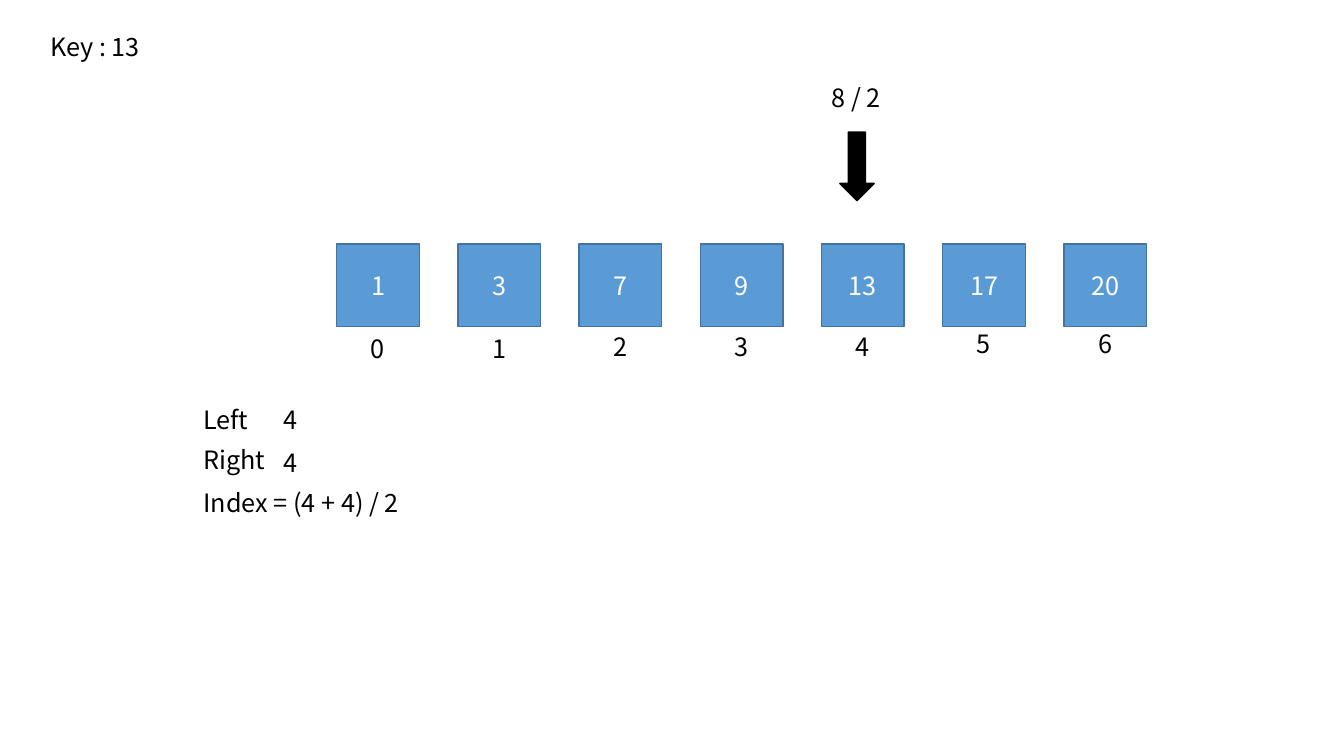
from pptx import Presentation
from pptx.dml.color import RGBColor
from pptx.enum import shapes, text
from pptx.util import Inches, Pt

FONT = "Noto Sans CJK KR"
BLACK = RGBColor(0x00, 0x00, 0x00)
WHITE = RGBColor(0xFF, 0xFF, 0xFF)
CELL_BLUE = RGBColor(0x5B, 0x9B, 0xD5)
CELL_BORDER = RGBColor(0x43, 0x73, 0x9E)

presentation = Presentation()
presentation.slide_width = Inches(13.33)
presentation.slide_height = Inches(7.5)
slide = presentation.slides.add_slide(presentation.slide_layouts[6])


def write(shape, wording, color):
    shape.text_frame.text = wording
    font = shape.text_frame.paragraphs[0].runs[0].font
    font.name, font.size, font.color.rgb = FONT, Pt(18), color


def add_label(wording, left, top, width):
    label = slide.shapes.add_textbox(Inches(left), Inches(top), Inches(width), Inches(0.4))
    write(label, wording, BLACK)
    label.text_frame.word_wrap = False
    label.text_frame.auto_size = text.MSO_AUTO_SIZE.SHAPE_TO_FIT_TEXT


# Sorted array with an index under each cell
values = [1, 3, 7, 9, 13, 17, 20]
index_tops = [3.26, 3.26, 3.24, 3.24, 3.24, 3.21, 3.21]
first_left, pitch, cell_size = 3.34, 1.202, 0.82
for index, (value, index_top) in enumerate(zip(values, index_tops)):
    left = first_left + index * pitch
    cell = slide.shapes.add_shape(shapes.MSO_SHAPE.RECTANGLE, Inches(left), Inches(2.42),
                                  Inches(cell_size), Inches(cell_size))
    cell.shadow.inherit = False
    cell.fill.solid()
    cell.fill.fore_color.rgb = CELL_BLUE
    cell.line.color.rgb = CELL_BORDER
    cell.line.width = Pt(1)
    write(cell, str(value), WHITE)
    cell.text_frame.vertical_anchor = text.MSO_ANCHOR.MIDDLE
    cell.text_frame.paragraphs[0].alignment = text.PP_ALIGN.CENTER
    add_label(str(index), left + 0.24, index_top, 0.34)

# Arrow to the probed cell
arrow = slide.shapes.add_shape(shapes.MSO_SHAPE.DOWN_ARROW, Inches(8.33), Inches(1.31),
                               Inches(0.34), Inches(0.68))
arrow.shadow.inherit = False
arrow.fill.solid()
arrow.fill.fore_color.rgb = BLACK
arrow.line.color.rgb = BLACK
arrow.line.width = Pt(1)

# Search key, probe and bounds
for wording, left, top, width in [
    ("Key : 13", 0.4, 0.26, 1.12),
    ("8 / 2", 8.15, 0.77, 0.76),
    ("Left", 1.92, 3.96, 0.72),
    ("4", 2.71, 3.96, 0.34),
    ("Right", 1.92, 4.36, 0.89),
    ("4", 2.71, 4.39, 0.34),
    ("Index = (4 + 4) / 2", 1.92, 4.79, 2.47),
]:
    add_label(wording, left, top, width)

presentation.save("out.pptx")
